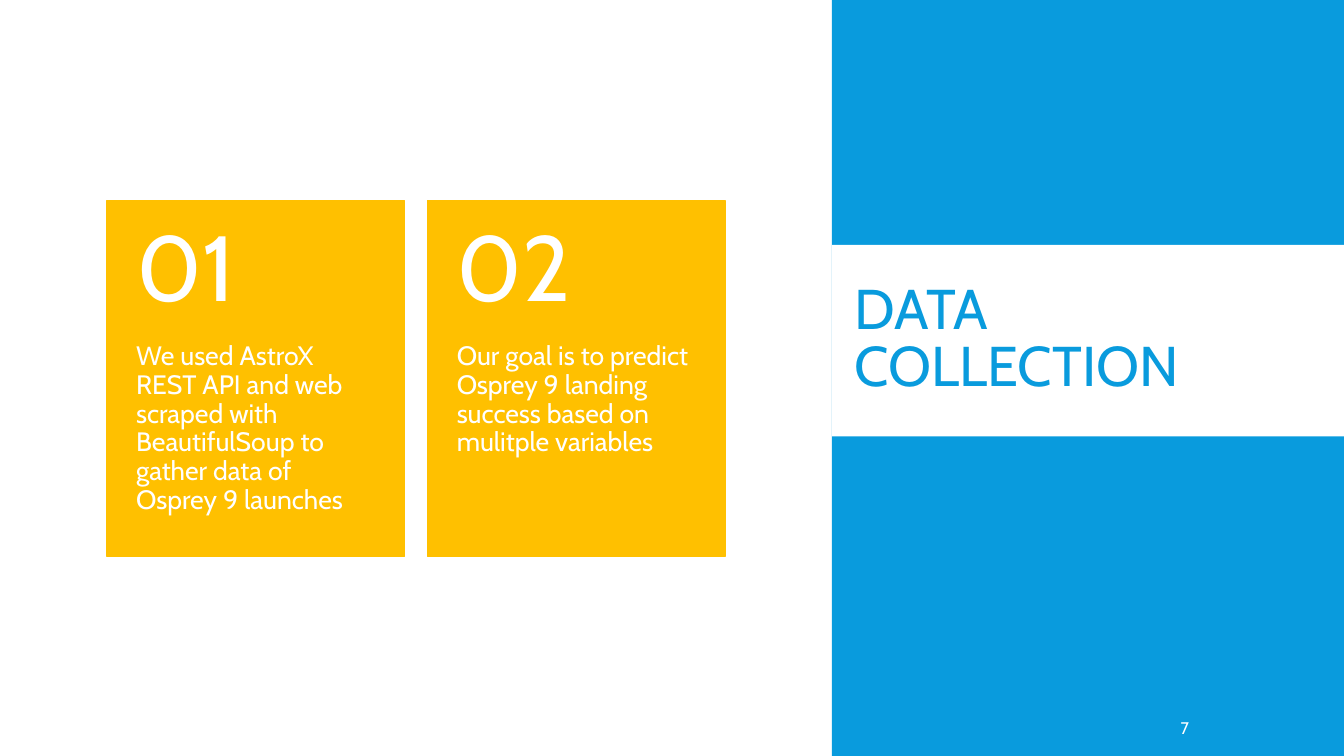
from pptx import Presentation
from pptx.dml.color import RGBColor
from pptx.enum.shapes import MSO_SHAPE as SHAPE
from pptx.enum.text import MSO_ANCHOR as ANCHOR, PP_ALIGN as ALIGN
from pptx.util import Inches, Pt

BLUE = RGBColor(0x09, 0x9B, 0xDD)
AMBER = RGBColor(0xFF, 0xC0, 0x00)
WHITE = RGBColor(0xFF, 0xFF, 0xFF)

WIDTH, HEIGHT = 13.33, 7.5
PANEL_LEFT = 8.25
CARD_LEFT, CARD_TOP, CARD_STEP = 1.06, 1.99, 3.18
CARD_WIDTH, CARD_HEIGHT, NUMBER_HEIGHT = 2.95, 3.53, 1.41

CARDS = [
    "We used AstroX REST API and web scraped with BeautifulSoup to "
    "gather data of Osprey 9 launches",
    "Our goal is to predict Osprey 9 landing success based on "
    "mulitple variables",
]


class SlideBuilder:
    font_name = "Cabin"

    def __init__(self, slide):
        self.s = slide

    def rect(self, left, top, width, height, color, outlined=False):
        sp = self.s.shapes.add_shape(
            SHAPE.RECTANGLE, *map(Inches, (left, top, width, height)))
        sp.shadow.inherit = False
        sp.fill.solid()
        sp.fill.fore_color.rgb = color
        if outlined:
            sp.line.color.rgb = color
            sp.line.width = Pt(1)
        else:
            sp.line.fill.background()

    def text(self, left, top, width, height, text, size, color=WHITE,
             anchor=ANCHOR.MIDDLE, insets=(0.1, 0.05, 0.1, 0.05),
             spacing=1.0, after=6):
        tf = self.s.shapes.add_textbox(
            *map(Inches, (left, top, width, height))).text_frame
        sides = ("margin_left", "margin_top", "margin_right", "margin_bottom")
        frame_format = dict(zip(sides, map(Inches, insets)),
                            word_wrap=True, vertical_anchor=anchor)
        for name, value in frame_format.items():
            setattr(tf, name, value)
        p = tf.paragraphs[0]
        paragraph_format = {"alignment": ALIGN.LEFT, "line_spacing": spacing,
                            "space_after": Pt(after)}
        for name, value in paragraph_format.items():
            setattr(p, name, value)
        r = p.add_run()
        r.text = text
        for name, value in {"name": self.font_name, "size": Pt(size)}.items():
            setattr(r.font, name, value)
        r.font.color.rgb = color

    def card(self, left, number, body):
        self.rect(left, CARD_TOP, CARD_WIDTH, CARD_HEIGHT, AMBER, outlined=True)
        self.text(left, CARD_TOP + NUMBER_HEIGHT, CARD_WIDTH,
                  CARD_HEIGHT - NUMBER_HEIGHT, body, 19, anchor=ANCHOR.TOP,
                  insets=(0.29, 0, 0.29, 0.36), spacing=0.9, after=6.65)
        self.text(left, CARD_TOP, CARD_WIDTH, NUMBER_HEIGHT, f"{number:02d}",
                  66, insets=(0.29, 0.18, 0.29, 0.18), spacing=0.9, after=23.1)


def main():
    prs = Presentation()
    prs.slide_width, prs.slide_height = Inches(WIDTH), Inches(HEIGHT)
    builder = SlideBuilder(prs.slides.add_slide(prs.slide_layouts[6]))
    panel_width = WIDTH - PANEL_LEFT
    builder.rect(PANEL_LEFT, 0, panel_width, HEIGHT, BLUE)
    builder.rect(PANEL_LEFT, 2.43, panel_width, 1.9, WHITE)
    builder.text(8.38, 2.56, 4.52, 1.65, "DATA COLLECTION", 40, BLUE,
                 spacing=0.85)
    builder.text(11.66, 7.02, 1.03, 0.4, "7", 12,
                 insets=(0.05, 0.05, 0.1, 0.05))
    for i, body in enumerate(CARDS):
        builder.card(CARD_LEFT + i * CARD_STEP, i + 1, body)
    prs.save("out.pptx")


if __name__ == "__main__":
    main()
